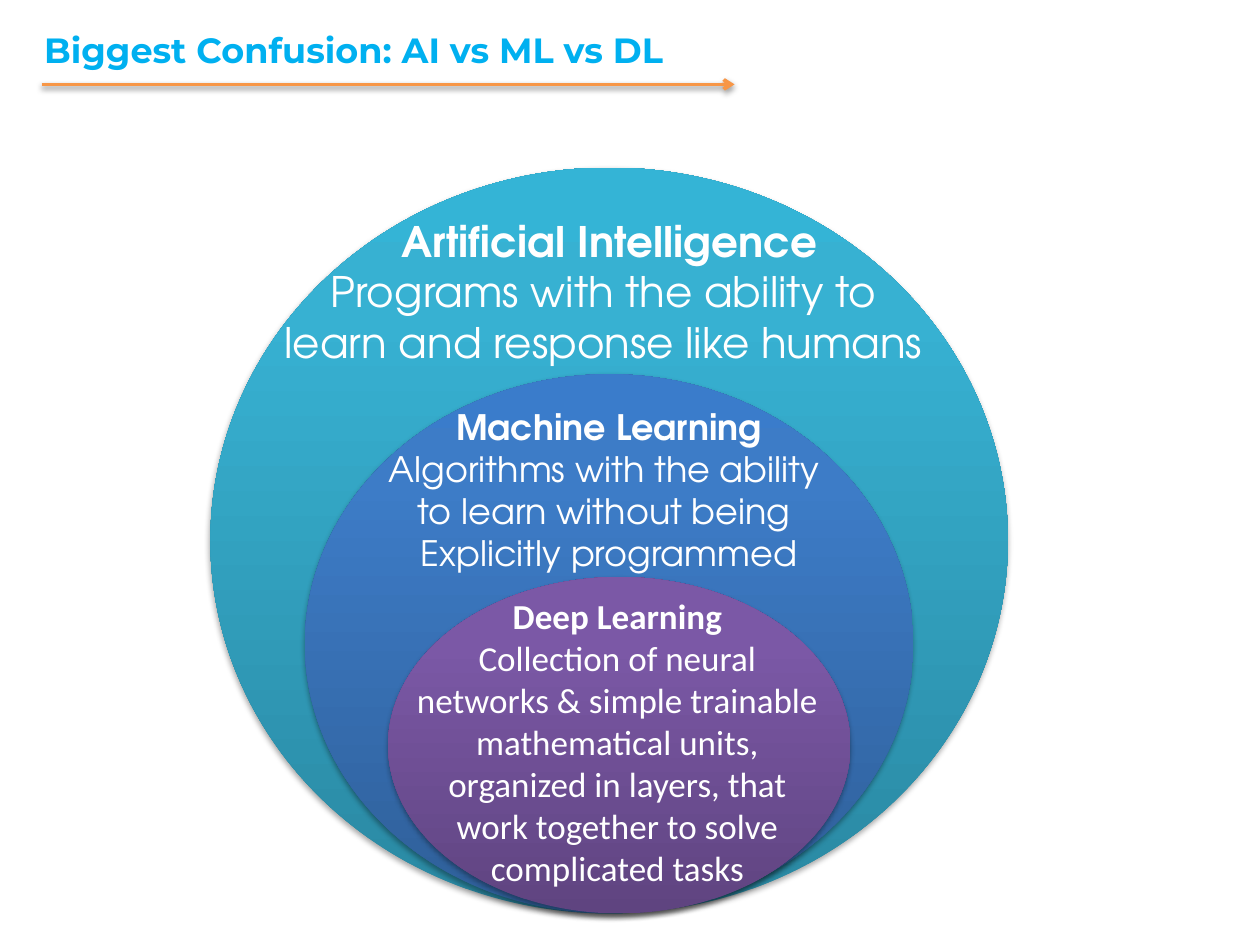
from pptx import Presentation
from pptx.dml.color import RGBColor as RGB
from pptx.enum.shapes import MSO_CONNECTOR as Line, MSO_SHAPE as Shape
from pptx.enum.text import MSO_ANCHOR as Anchor, MSO_AUTO_SIZE as Auto, PP_ALIGN as Align
from pptx.oxml import parse_xml
from pptx.oxml.ns import nsdecls, qn
from pptx.util import Inches, Pt

WIDE, HIGH = 10, 7.5
BASE = 7.25  # shared bottom of the nested ovals
SKY = RGB(0x00, 0xB0, 0xF0)
ORANGE = RGB(0xF7, 0x96, 0x46)
WHITE = RGB(0xFF, 0xFF, 0xFF)
ADVENTOR = "TeX Gyre Adventor"
STOPS = (0, 80, 100)

TITLE = "Biggest Confusion: AI vs ML vs DL"
# Oval: left, top, width. Box: left, top, width, height. Colours run bottom to top.
RINGS = [
    dict(oval=(1.67, 1.33, 6.33), box=(2.12, 1.66, 5.43, 1.31),
         colors=("2A88A2", "37B1D2", "34B4D6"), font=ADVENTOR, size=24, wrap=False,
         lines=["Artificial Intelligence",
                "Programs with the ability to ",
                "learn and response like humans "]),
    dict(oval=(2.42, 2.97, 4.83), box=(2.97, 3.17, 3.73, 1.45),
         colors=("2F5F99", "3D7CC7", "3A7CCB"), font=ADVENTOR, size=20, wrap=False,
         lines=["Machine Learning",
                "Algorithms with the ability ",
                "to learn without being ",
                "Explicitly programmed"]),
    dict(oval=(3.08, 4.58, 3.67), box=(3.17, 4.67, 3.46, 2.46),
         colors=("5F4480", "7B58A6", "7C57A8"), font="Calibri", size=20, wrap=True,
         lines=["Deep Learning",
                "Collection of neural networks & simple trainable mathematical units, "
                "organized in layers, that work together to solve complicated tasks"]),
]


def write(frame, lines, font, size, color, align=Align.CENTER, wrap=True):
    """Fill a text frame; the first line is bold."""
    frame.word_wrap = wrap
    frame.vertical_anchor = Anchor.TOP
    for i, line in enumerate(lines):
        para = frame.paragraphs[0] if i == 0 else frame.add_paragraph()
        para.alignment = align
        run = para.add_run()
        run.text = line
        run.font.name, run.font.size = font, Pt(size)
        run.font.bold = i == 0
        run.font.color.rgb = color


def shade(item, alpha, dist):
    """Give an item a soft black shadow straight below it."""
    props = item.element.spPr
    for old in props.findall(qn("a:effectLst")):
        props.remove(old)
    props.append(parse_xml(
        f'<a:effectLst {nsdecls("a")}><a:outerShdw blurRad="{Pt(3.1)}" dist="{Pt(dist)}" '
        f'dir="5400000" rotWithShape="0"><a:srgbClr val="000000">'
        f'<a:alpha val="{alpha * 1000}"/></a:srgbClr></a:outerShdw></a:effectLst>'))


def blend(shape, colors):
    """Fill a shape with a gradient rising from its bottom edge."""
    stops = "".join(
        f'<a:gs pos="{pos * 1000}"><a:srgbClr val="{color}"/></a:gs>'
        for pos, color in zip(STOPS, colors))
    fill = parse_xml(
        f'<a:gradFill {nsdecls("a")} rotWithShape="1"><a:gsLst>{stops}</a:gsLst>'
        f'<a:lin ang="16200000" scaled="0"/></a:gradFill>')
    shape.element.spPr.find(qn("a:prstGeom")).addnext(fill)


def add_oval(slide, left, top, width, colors):
    oval = slide.shapes.add_shape(
        Shape.OVAL, *map(Inches, (left, top, width, BASE - top)))
    oval.line.fill.background()
    blend(oval, colors)
    shade(oval, alpha=35, dist=1.8)


def add_label(slide, ring):
    frame = slide.shapes.add_textbox(*map(Inches, ring["box"])).text_frame
    write(frame, ring["lines"], ring["font"], ring["size"], WHITE, wrap=ring["wrap"])
    frame.auto_size = Auto.SHAPE_TO_FIT_TEXT


def add_arrow(slide, left, right, y):
    arrow = slide.shapes.add_connector(
        Line.STRAIGHT, *map(Inches, (left, y, right, y)))
    arrow.line.color.rgb = ORANGE
    arrow.line.width = Pt(2)
    arrow.element.spPr.find(qn("a:ln")).append(
        parse_xml(f'<a:tailEnd {nsdecls("a")} type="arrow"/>'))
    shade(arrow, alpha=38, dist=1.6)


def main():
    deck = Presentation()
    deck.slide_width, deck.slide_height = Inches(WIDE), Inches(HIGH)
    slide = deck.slides.add_slide(deck.slide_layouts[5])

    title = slide.shapes.title
    title.left, title.top, title.width, title.height = map(Inches, (0.25, 0.18, 7, 0.57))
    write(title.text_frame, [TITLE], "Montserrat", 20, SKY, align=Align.LEFT)

    outer, middle, inner = RINGS
    for ring in (outer, middle):
        add_oval(slide, *ring["oval"], ring["colors"])
    for ring in (outer, middle):
        add_label(slide, ring)
    add_oval(slide, *inner["oval"], inner["colors"])
    add_label(slide, inner)
    add_arrow(slide, left=0.33, right=5.83, y=0.67)

    deck.save("out.pptx")


if __name__ == "__main__":
    main()
